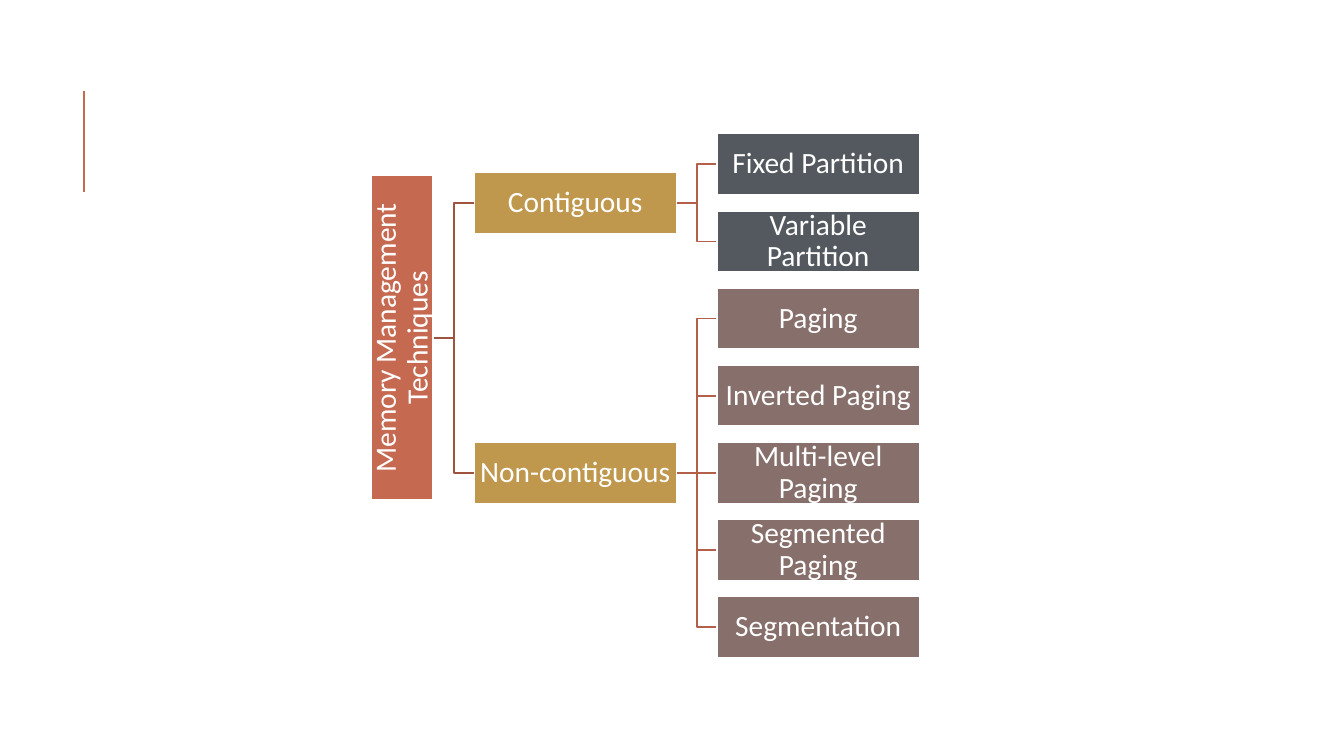
import pptx
import pptx.util
import pptx.dml.color
import pptx.enum.shapes
import pptx.enum.text
import pptx.oxml.ns
import lxml.etree

Inches = pptx.util.Inches
Pt = pptx.util.Pt
RGB = pptx.dml.color.RGBColor.from_string

colors = {
    "root": "C66951",
    "branch": "BF974D",
    "fixed": "53595E",
    "paged": "87706B",
    "trunk": "9F5441",
    "twig": "B45F4A",
    "white": "FFFFFF",
}
groups = [
    ("Contiguous", "fixed", ["Fixed Partition", "Variable Partition"]),
    ("Non-contiguous", "paged", ["Paging", "Inverted Paging", "Multi-level Paging",
                                 "Segmented Paging", "Segmentation"]),
]
wide, high, gap = 2.01, 0.61, 0.4
root_x, branch_x, leaf_x = 3.99, 4.7, 7.11
top, pitch = 1.63, 0.765

deck = pptx.Presentation()
deck.slide_width = Inches(13.33)
deck.slide_height = Inches(7.5)
slide = deck.slides.add_slide(deck.slide_layouts[6])
shapes = slide.shapes


def add_box(text, mid_x, mid_y, width, color, turn=0):
    box = shapes.add_shape(
        pptx.enum.shapes.MSO_SHAPE.RECTANGLE,
        Inches(mid_x - width / 2), Inches(mid_y - high / 2), Inches(width), Inches(high))
    box.rotation = turn
    box.shadow.inherit = False
    box.fill.solid()
    box.fill.fore_color.rgb = RGB(colors[color])
    box.line.color.rgb = RGB(colors["white"])
    box.line.width = Pt(1.25)
    frame = box.text_frame
    frame.word_wrap = True
    frame.vertical_anchor = pptx.enum.text.MSO_ANCHOR.MIDDLE
    frame.margin_left = frame.margin_right = Inches(0.01)
    frame.margin_top = frame.margin_bottom = Inches(0.01)
    para = frame.paragraphs[0]
    para.alignment = pptx.enum.text.PP_ALIGN.CENTER
    para.line_spacing = 0.9
    run = para.add_run()
    run.text = text
    run.font.name = "Calibri"
    run.font.size = Pt(21)
    run.font.color.rgb = RGB(colors["white"])


def add_link(end_x, from_y, to_y, color):
    x = end_x - gap
    bend = x + gap / 2
    pen = shapes.build_freeform(Inches(x), Inches(from_y))
    points = [(end_x, to_y)]
    if abs(from_y - to_y) > 0.01:
        points = [(bend, from_y), (bend, to_y)] + points
    pen.add_line_segments([(Inches(a), Inches(b)) for a, b in points], close=False)
    link = pen.convert_to_shape()
    link.shadow.inherit = False
    link.fill.background()
    link.line.color.rgb = RGB(colors[color])
    link.line.width = Pt(1.25)


rule = shapes.add_connector(
    pptx.enum.shapes.MSO_CONNECTOR.STRAIGHT,
    Inches(0.83), Inches(1.9), Inches(0.83), Inches(0.9))
rule.line.color.rgb = RGB(colors["root"])
rule.line.width = Pt(1.5)
lxml.etree.SubElement(rule.line._get_or_add_ln().getparent(), pptx.oxml.ns.qn("a:effectLst"))

mids = []
row = 0
for name, color, leaves in groups:
    spots = [top + pitch * (row + i) for i in range(len(leaves))]
    row += len(leaves)
    mid = sum(spots) / len(spots)
    mids.append(mid)
    for leaf, y in zip(leaves, spots):
        add_link(leaf_x, mid, y, "twig")
        add_box(leaf, leaf_x + wide / 2, y, wide, color)
    add_box(name, branch_x + wide / 2, mid, wide, "branch")

center = sum(mids) / len(mids)
for mid in mids:
    add_link(branch_x, center, mid, "trunk")
add_box("Memory Management Techniques", root_x, center, 3.22, "root", 270)

deck.save("out.pptx")
